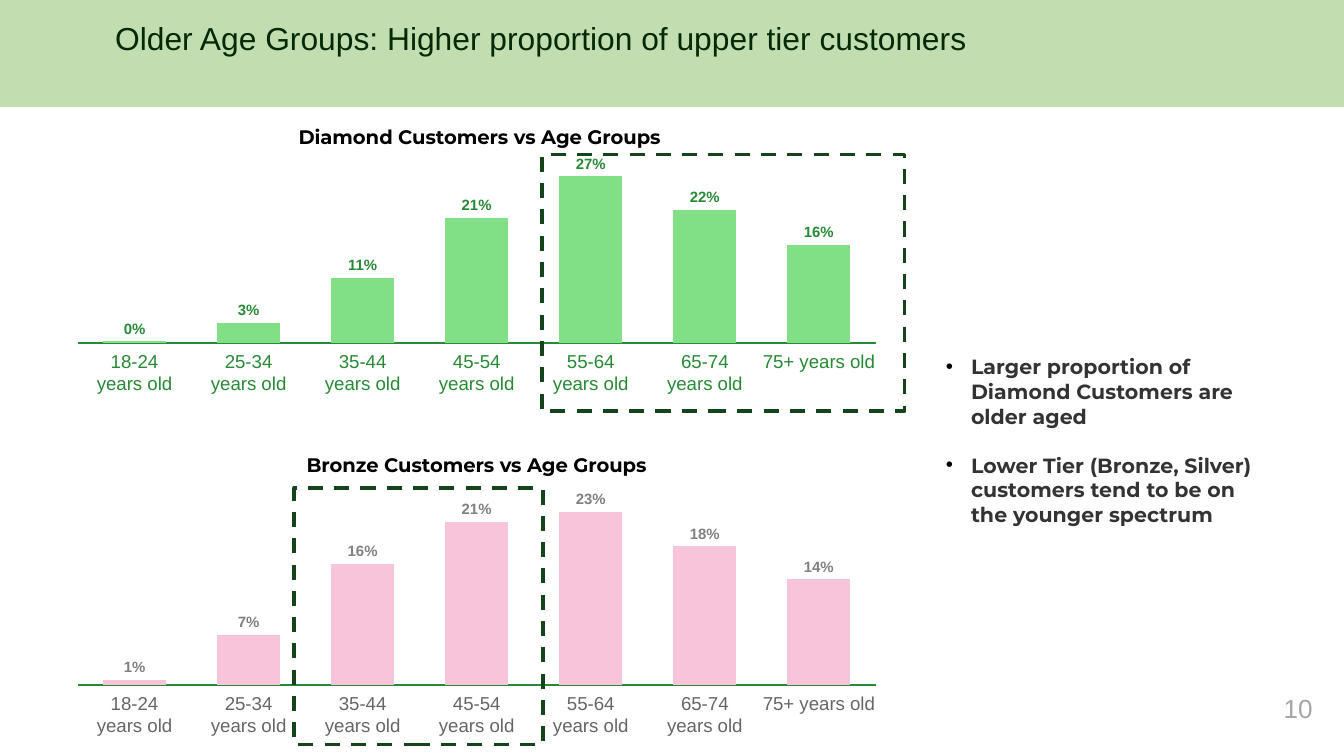
from dataclasses import dataclass

from lxml.etree import SubElement
from pptx import Presentation
from pptx.chart.data import CategoryChartData
from pptx.dml.color import RGBColor
from pptx.enum.chart import XL_CHART_TYPE as CHART, XL_TICK_LABEL_POSITION as TICK_LABEL, XL_TICK_MARK as TICK
from pptx.enum.dml import MSO_LINE_DASH_STYLE as DASH
from pptx.enum.shapes import MSO_SHAPE as SHAPE
from pptx.enum.text import MSO_ANCHOR as ANCHOR, MSO_AUTO_SIZE as AUTO, PP_ALIGN as ALIGN
from pptx.oxml import parse_xml
from pptx.oxml.ns import nsdecls, qn
from pptx.util import Pt


@dataclass(frozen=True)
class Theme:
    sans: str = "Arial"
    display: str = "Montserrat"
    band: str = "C2DDAF"
    title: str = "032A06"
    heading: str = "000000"
    body: str = "333333"
    number: str = "A6A6A6"
    axis: str = "278A35"
    frame: str = "14451A"
    diamond: str = "81DF85"
    bronze: str = "F8C4DA"
    bronze_category: str = "666666"
    bronze_value: str = "808080"
    title_size: float = 17
    number_size: float = 14
    body_size: float = 11
    heading_size: float = 10.5
    category_size: float = 10
    value_size: float = 8


THEME = Theme()
AGES = ["18-24", "25-34", "35-44", "45-54", "55-64", "65-74", "75+"]
CHART_LEFT, CHART_WIDTH = 35.1, 440.6
INSET = 6.45
PITCH = (CHART_WIDTH - 2 * INSET) / len(AGES)
FIRST_CENTER = CHART_LEFT + INSET + PITCH / 2


def rgb(color):
    return RGBColor.from_string(color)


def place(sp, left, top, width, height):
    sp.left, sp.top, sp.width, sp.height = Pt(left), Pt(top), Pt(width), Pt(height)


def style(font, name, size, color, bold=False):
    font.name, font.size, font.bold = name, Pt(size), bold
    font.color.rgb = rgb(color)


def set_margins(tf, x, y):
    tf.margin_left = tf.margin_right = Pt(x)
    tf.margin_top = tf.margin_bottom = Pt(y)


def add_text(slide, text, box, font, align=ALIGN.CENTER, margins=(7.2, 3.6), wrap=True):
    tf = slide.shapes.add_textbox(*map(Pt, box)).text_frame
    tf.text = text
    tf.word_wrap = wrap
    set_margins(tf, *margins)
    p = tf.paragraphs[0]
    p.alignment = align
    style(p.runs[0].font, *font)
    return tf


def add_rect(slide, box, fill=None, line=None):
    sp = slide.shapes.add_shape(SHAPE.RECTANGLE, *map(Pt, box))
    sp.shadow.inherit = False
    if fill:
        sp.fill.solid()
        sp.fill.fore_color.rgb = rgb(fill)
    else:
        sp.fill.background()
    if line:
        sp.line.color.rgb = rgb(line)
        sp.line.width = Pt(2)
        sp.line.dash_style = DASH.DASH
    else:
        sp.line.fill.background()
    return sp


def fill_title(slide, text):
    title = slide.shapes.title
    place(title, 54.5, 2.9, 612.7, 50.4)
    tf = title.text_frame
    tf.text = text
    tf.auto_size, tf.vertical_anchor = AUTO.NONE, ANCHOR.TOP
    set_margins(tf, 7.2, 7.2)
    tf.paragraphs[0].alignment = ALIGN.LEFT
    style(tf.paragraphs[0].runs[0].font, THEME.sans, THEME.title_size, THEME.title)
    band = add_rect(slide, (0, 0, 720, 57.4), fill=THEME.band)
    title.element.addprevious(band.element)


def fill_bullets(slide, items):
    body = slide.placeholders[1]
    place(body, 499.5, 182.6, 190, 173.5)
    tf = body.text_frame
    tf.text = "\n".join(items)
    tf.auto_size, tf.vertical_anchor = AUTO.NONE, ANCHOR.TOP
    set_margins(tf, 7.2, 7.2)
    for p in tf.paragraphs:
        p.space_before, p.space_after = Pt(0), Pt(13)
        style(p.runs[0].font, THEME.display, THEME.body_size, THEME.body, True)
        pPr = p._p.get_or_add_pPr()
        pPr.set("marL", str(Pt(13.5)))
        pPr.set("indent", str(-Pt(13.5)))
        SubElement(SubElement(pPr, qn("a:buClr")), qn("a:srgbClr"), val=THEME.heading)
        SubElement(pPr, qn("a:buFont"), typeface=THEME.sans)
        SubElement(pPr, qn("a:buChar"), char="•")


def set_plot_area(chart, height):
    area = chart._chartSpace.chart.plotArea
    for old in area.findall(qn("c:layout")):
        area.remove(old)
    x, y = INSET / CHART_WIDTH, INSET / height
    sizes = zip("xywh", (x, y, 1 - 2 * x, 1 - 2 * y))
    area.insert(0, parse_xml(
        f'<c:layout {nsdecls("c")}><c:manualLayout><c:layoutTarget val="inner"/>'
        '<c:xMode val="edge"/><c:yMode val="edge"/>'
        + "".join(f'<c:{key} val="{size}"/>' for key, size in sizes)
        + "</c:manualLayout></c:layout>"))


def add_columns(slide, top, height, values, color):
    data = CategoryChartData()
    data.categories = [str(i + 1) for i in range(len(values))]
    data.add_series("Series 1", values)
    box = map(Pt, (CHART_LEFT, top, CHART_WIDTH, height))
    chart = slide.shapes.add_chart(CHART.COLUMN_STACKED, *box, data).chart
    chart.has_legend = chart.has_title = False
    style(chart.font, THEME.sans, THEME.category_size, THEME.axis)
    axis = chart.category_axis
    axis.tick_label_position = TICK_LABEL.NONE
    axis.major_tick_mark = axis.minor_tick_mark = TICK.NONE
    axis.format.line.color.rgb = rgb(THEME.axis)
    axis.format.line.width = Pt(0.75)
    scale = chart.value_axis
    scale.minimum_scale, scale.maximum_scale = 0, 100
    scale.has_major_gridlines = scale.visible = False
    plot = chart.plots[0]
    plot.gap_width, plot.overlap, plot.vary_by_categories = 80, 100, False
    fill = plot.series[0].format.fill
    fill.solid()
    fill.fore_color.rgb = rgb(color)
    set_plot_area(chart, height)


def add_age_chart(slide, heading, heading_box, top, height, categories_top,
                  values, shares, color, category_color, value_color):
    add_columns(slide, top, height, values, color)
    category_font = (THEME.sans, THEME.category_size, category_color)
    value_font = (THEME.sans, THEME.value_size, value_color, True)
    for i, (age, value, share) in enumerate(zip(AGES, values, shares)):
        center = FIRST_CENTER + i * PITCH
        wrap = age != AGES[-1]
        width, lines = (41, 2) if wrap else (61, 1)
        add_text(slide, f"{age} years old", (center - width / 2, categories_top, width, 12 * lines),
                 category_font, margins=(0, 0), wrap=wrap)
        bar_top = top + INSET + (height - 2 * INSET) * (1 - value / 100)
        width = 20 if share > 9 else 15
        tf = add_text(slide, f"{share}%", (center - width / 2, bar_top - 10.8, width, 8.6),
                      value_font, margins=(0, 0), wrap=False)
        tf.vertical_anchor = ANCHOR.BOTTOM
        tf.paragraphs[0].line_spacing = 0.9
    add_text(slide, heading, heading_box, (THEME.display, THEME.heading_size, THEME.heading, True))


def main():
    prs = Presentation()
    prs.slide_width, prs.slide_height = Pt(720), Pt(405)
    slide = prs.slides.add_slide(prs.slide_layouts[1])
    fill_title(slide, "Older Age Groups: Higher proportion of upper tier customers")
    fill_bullets(slide, [
        "Larger proportion of Diamond Customers are older aged",
        "Lower Tier (Bronze, Silver) customers tend to be on the younger spectrum",
    ])
    add_text(slide, "10", (667.2, 367.2, 43.2, 31), (THEME.sans, THEME.number_size, THEME.number),
             align=ALIGN.RIGHT)
    add_age_chart(slide, "Bronze Customers vs Age Groups", (42.3, 239, 426.2, 20.9),
                  267.8, 105.8, 370.6, [3, 29, 70, 94, 100, 80, 61], [1, 7, 16, 21, 23, 18, 14],
                  THEME.bronze, THEME.bronze_category, THEME.bronze_value)
    add_age_chart(slide, "Diamond Customers vs Age Groups", (43.9, 63.4, 426.2, 20.9),
                  88.1, 102.2, 187.2, [1, 12, 39, 75, 100, 80, 59], [0, 3, 11, 21, 27, 22, 16],
                  THEME.diamond, THEME.axis, THEME.axis)
    add_rect(slide, (290.2, 82.8, 194.4, 137.5), line=THEME.frame)
    add_rect(slide, (157.7, 261.4, 133.2, 137.5), line=THEME.frame)
    prs.save("out.pptx")


if __name__ == "__main__":
    main()
